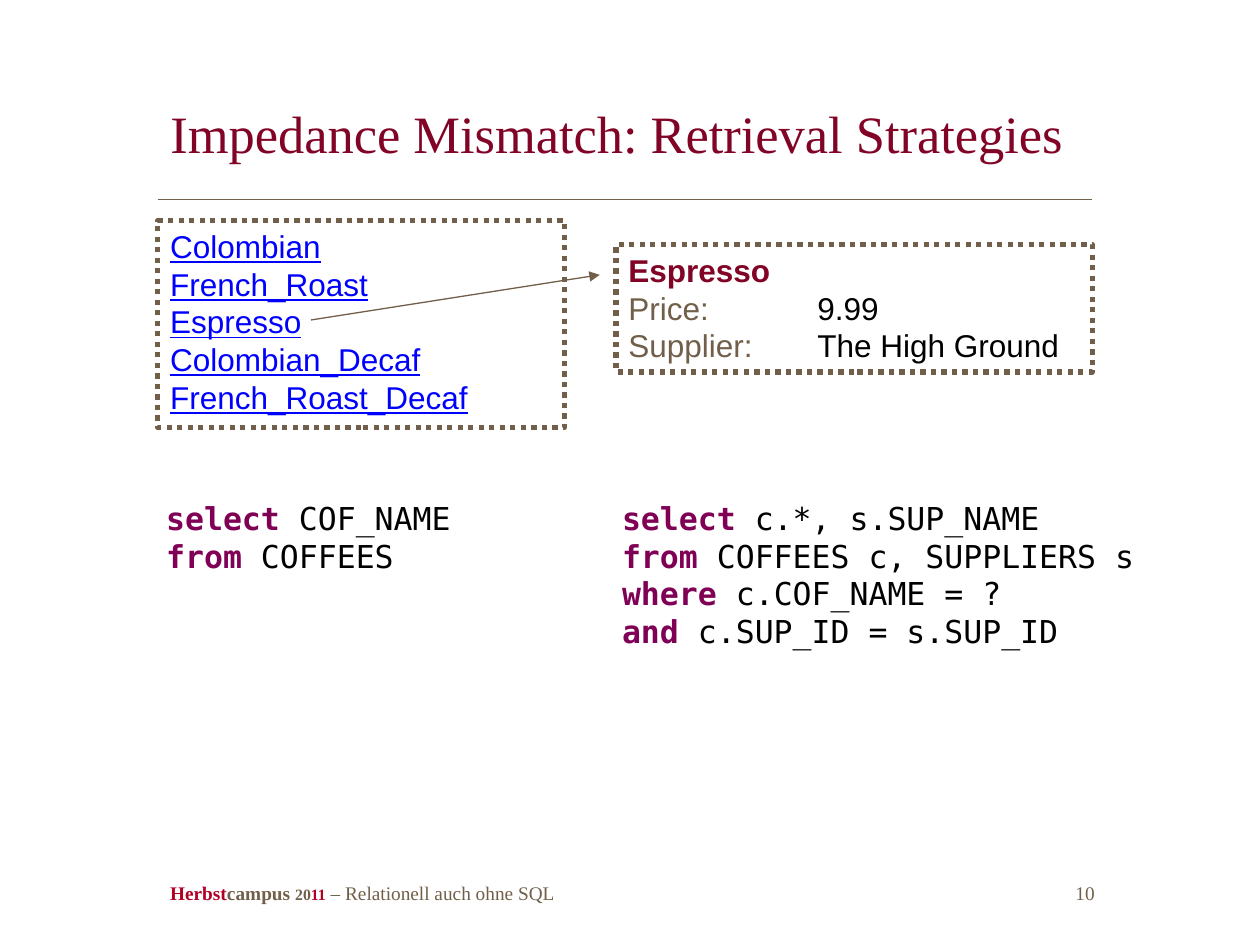
from lxml.etree import SubElement
from pptx import Presentation
from pptx.dml.color import RGBColor
from pptx.enum.dml import MSO_LINE_DASH_STYLE as Dash
from pptx.enum.shapes import MSO_CONNECTOR, MSO_SHAPE
from pptx.enum.text import MSO_ANCHOR, MSO_AUTO_SIZE, PP_ALIGN
from pptx.oxml.ns import qn
from pptx.util import Cm, Pt

WINE = RGBColor(0x81, 0x04, 0x26)
RED = RGBColor(0xB2, 0x00, 0x25)
BROWN = RGBColor(0x71, 0x5F, 0x49)
BLUE = RGBColor(0x00, 0x00, 0xFF)
PURPLE = RGBColor(0x7F, 0x00, 0x55)
BLACK = RGBColor(0x00, 0x00, 0x00)
SERIF, SANS, MONO = "Times New Roman", "Arial", "DejaVu Sans Mono"

# Content
TITLE = "Impedance Mismatch: Retrieval Strategies"
COFFEES = ["Colombian", "French_Roast", "Espresso", "Colombian_Decaf",
           "French_Roast_Decaf"]
SELECTED = "Espresso"
DETAILS = [("Price:", "9.99"), ("Supplier:", "The High Ground")]
# Each query: left, width, height in cm, then (keyword, rest) lines
QUERIES = [
    (3.1, 7.92, 1.78, [("select", " COF_NAME"), ("from", " COFFEES")]),
    (12.29, 11.28, 4.45, [("select", " c.*, s.SUP_NAME"),
                          ("from", " COFFEES c, SUPPLIERS s"),
                          ("where", " c.COF_NAME = ?"),
                          ("and", " c.SUP_ID = s.SUP_ID")]),
]
# Footer spans: text, size, colour, bold
FOOTER = [("Herbst", 11, RED, True), ("campus ", 11, BROWN, True),
          ("20", 9, BROWN, True), ("11", 9, RED, True),
          (" – Relationell auch ohne SQL\t10", 11, BROWN, False)]

LEFT, RIGHT = 3.18, 22.02


def add_span(para, text, font, size, color, bold=False, underline=False):
    span = para.add_run()
    span.text = text
    span.font.name = font
    span.font.size = Pt(size)
    span.font.color.rgb = color
    span.font.bold = bold
    span.font.underline = underline


def add_tab(para, position, align):
    tabs = SubElement(para._p.get_or_add_pPr(), qn("a:tabLst"))
    SubElement(tabs, qn("a:tab"), pos=str(Cm(position)), algn=align)


def prepare_frame(shape):
    frame = shape.text_frame
    frame.word_wrap = True
    frame.auto_size = MSO_AUTO_SIZE.NONE
    frame.vertical_anchor = MSO_ANCHOR.TOP
    return frame


def add_text_box(slide, left, top, width, height):
    box = slide.shapes.add_textbox(Cm(left), Cm(top), Cm(width), Cm(height))
    return prepare_frame(box)


def add_dotted_box(slide, left, top, width, height, line_count):
    box = slide.shapes.add_shape(MSO_SHAPE.RECTANGLE, Cm(left), Cm(top),
                                 Cm(width), Cm(height))
    box.shadow.inherit = False
    box.fill.background()
    box.line.color.rgb = BROWN
    box.line.width = Pt(3)
    box.line.dash_style = Dash.ROUND_DOT
    frame = prepare_frame(box)
    for _ in range(line_count - 1):
        frame.add_paragraph()
    for para in frame.paragraphs:
        para.alignment = PP_ALIGN.LEFT
    return frame.paragraphs


def add_line(slide, x1, y1, x2, y2, width, arrow=False):
    line = slide.shapes.add_connector(MSO_CONNECTOR.STRAIGHT,
                                      Cm(x1), Cm(y1), Cm(x2), Cm(y2))
    line.line.color.rgb = BROWN
    line.line.width = Pt(width)
    if arrow:
        SubElement(line.line._get_or_add_ln(), qn("a:tailEnd"), type="triangle")
    SubElement(line._element.spPr, qn("a:effectLst"))


deck = Presentation()
deck.slide_width, deck.slide_height = Cm(25.4), Cm(19.05)
page = deck.slides.add_slide(deck.slide_layouts[5])

# Footer with page number
para = add_text_box(page, LEFT, 17.65, 19.25, 0.74).paragraphs[0]
add_tab(para, 18.64, "r")
for text, size, color, bold in FOOTER:
    add_span(para, text, SERIF, size, color, bold)

# Title and rule
title = page.shapes.title
title.left, title.top = Cm(LEFT), Cm(1.47)
title.width, title.height = Cm(RIGHT - LEFT), Cm(2.54)
frame = prepare_frame(title)
frame.vertical_anchor = MSO_ANCHOR.MIDDLE
para = frame.paragraphs[0]
para.alignment = PP_ALIGN.LEFT
para.line_spacing = Pt(32)
add_span(para, TITLE, SERIF, 30, WINE)
add_line(page, LEFT, 4.02, RIGHT, 4.02, 0.25)

# List of coffees
paras = add_dotted_box(page, LEFT, 4.45, 8.2, 4.17, len(COFFEES))
for para, name in zip(paras, COFFEES):
    add_span(para, name, SANS, 18, BLUE, underline=True)

# Details of the selected coffee
heading, *rows = add_dotted_box(page, 12.42, 4.93, 9.6, 2.57, 1 + len(DETAILS))
add_span(heading, SELECTED, SANS, 18, WINE, bold=True)
for para, (label, value) in zip(rows, DETAILS):
    add_tab(para, 3.81, "l")
    add_span(para, label + "\t", SANS, 18, BROWN)
    add_span(para, value, SANS, 18, BLACK)

# Arrow from list entry to details
add_line(page, 6.27, 6.45, 12.09, 5.54, 0.75, arrow=True)

# Queries
for left, width, height, lines in QUERIES:
    para = add_text_box(page, left, 9.93, width, height).paragraphs[0]
    for number, (keyword, rest) in enumerate(lines):
        if number:
            para.add_line_break()
        add_span(para, keyword, MONO, 18, PURPLE, bold=True)
        add_span(para, rest, MONO, 18, BLACK)

deck.save("out.pptx")
